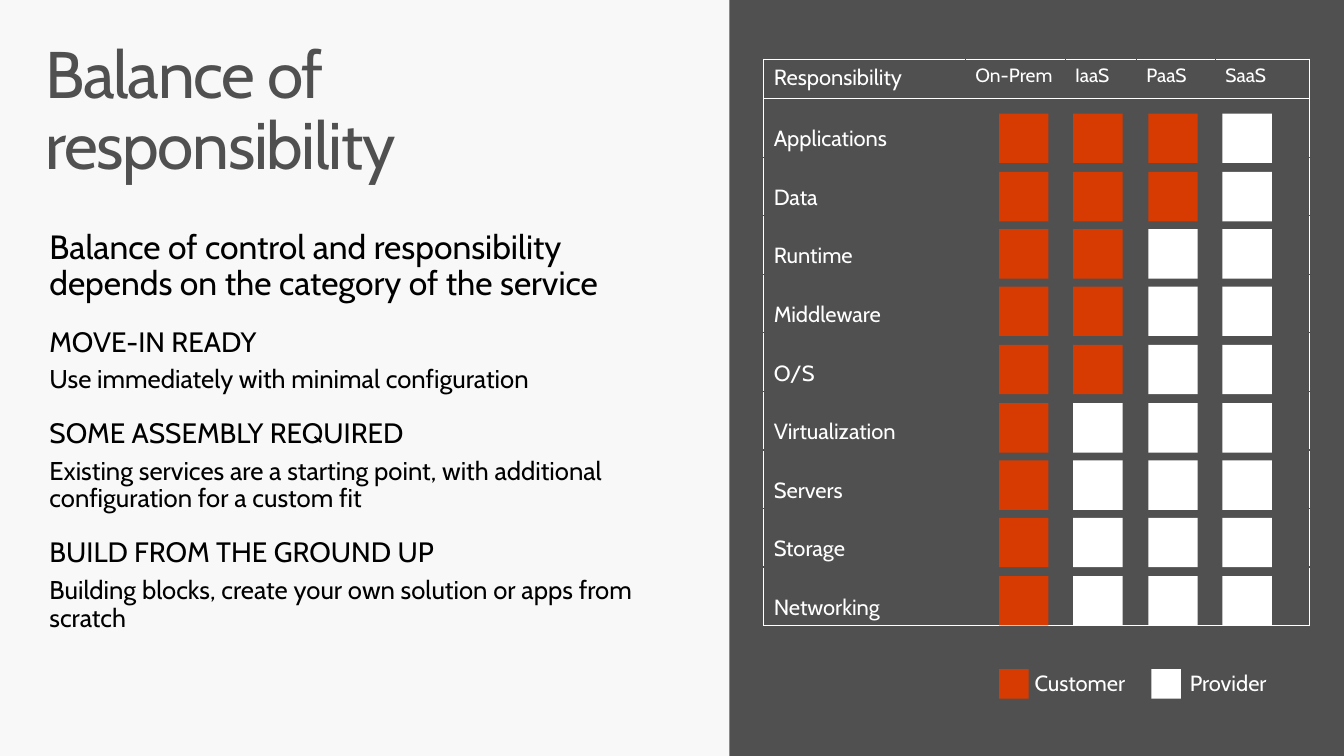
import pptx
import pptx.dml.color
import pptx.enum.shapes
import pptx.enum.text
import pptx.oxml
import pptx.oxml.ns
import pptx.util
from dataclasses import dataclass

ANCHOR = pptx.enum.text.MSO_ANCHOR
LEFT = pptx.enum.text.PP_ALIGN.LEFT
EMU_PER_PX = 9144  # 100 px to the inch


def px(length):
    return pptx.util.Emu(round(length * EMU_PER_PX))


@dataclass(frozen=True)
class Theme:
    font: str = "Cabin"
    paper: str = "F8F8F8"
    dark: str = "505050"
    black: str = "000000"
    white: str = "FFFFFF"
    customer: str = "D83B01"
    title_size: float = 48
    lead_size: float = 24.5
    heading_size: float = 20.4
    text_size: float = 18.7
    label_size: float = 16
    column_size: float = 14


class SlideBuilder:
    def __init__(self, slide, theme):
        self.slide = slide
        self.theme = theme
        slide.background.fill.solid()
        slide.background.fill.fore_color.rgb = self.color(theme.paper)

    def color(self, value):
        return pptx.dml.color.RGBColor.from_string(value)

    def apply(self, target, values):
        for name, value in values.items():
            setattr(target, name, value)

    def place(self, shape, box):
        self.apply(shape, dict(zip(("left", "top", "width", "height"), map(px, box))))

    def format_frame(self, frame, margin_x, margin_y):
        self.apply(frame, {
            "word_wrap": True, "auto_size": pptx.enum.text.MSO_AUTO_SIZE.NONE,
            "vertical_anchor": ANCHOR.TOP,
            "margin_left": px(margin_x), "margin_right": px(margin_x),
            "margin_top": px(margin_y), "margin_bottom": px(margin_y)})

    def format_paragraph(self, paragraph, size, color, before=0, after=0, spacing=0.9):
        self.apply(paragraph, {
            "alignment": LEFT, "line_spacing": spacing,
            "space_before": pptx.util.Pt(before), "space_after": pptx.util.Pt(after)})
        for run in paragraph.runs:
            self.apply(run.font, {
                "name": self.theme.font, "size": pptx.util.Pt(size), "bold": False})
            run.font.color.rgb = self.color(color)

    def title(self, text, box):
        shape = self.slide.shapes.title
        self.place(shape, box)
        self.format_frame(shape.text_frame, 16, 10)
        shape.text_frame.text = text
        paragraph = shape.text_frame.paragraphs[0]
        self.format_paragraph(paragraph, self.theme.title_size, self.theme.dark)
        for run in paragraph.runs:
            run.font._element.set("spc", "-100")

    def body(self, items, box):
        shape = self.slide.placeholders[1]
        self.place(shape, box)
        frame = shape.text_frame
        self.format_frame(frame, 20, 16)
        frame.text = "\n".join(text for text, size, before in items)
        for paragraph, (text, size, before) in zip(frame.paragraphs, items):
            properties = paragraph._p.get_or_add_pPr()
            properties.set("marL", "0")
            properties.set("indent", "0")
            properties.append(pptx.oxml.parse_xml(
                f'<a:buNone {pptx.oxml.ns.nsdecls("a")}/>'))
            self.format_paragraph(paragraph, size, self.theme.black, before, 6.1)

    def rectangle(self, box, color):
        shape = self.slide.shapes.add_shape(
            pptx.enum.shapes.MSO_SHAPE.RECTANGLE, *map(px, box))
        shape.shadow.inherit = False
        shape.fill.solid()
        shape.fill.fore_color.rgb = self.color(color)
        shape.line.fill.background()

    def label(self, text, box):
        shape = self.slide.shapes.add_textbox(*map(px, box))
        self.format_frame(shape.text_frame, 20, 16)
        shape.text_frame.text = text
        self.format_paragraph(
            shape.text_frame.paragraphs[0], self.theme.label_size, self.theme.white)

    def border(self, cell, side, color):
        cell._tc.get_or_add_tcPr().append(pptx.oxml.parse_xml(
            f'<a:ln{side} {pptx.oxml.ns.nsdecls("a")} w="12700"><a:solidFill>'
            f'<a:srgbClr val="{color}"/></a:solidFill></a:ln{side}>'))

    def table(self, columns, rows, box, widths, header_height):
        theme = self.theme
        last_row, last_column = len(rows), len(columns) - 1
        table = self.slide.shapes.add_table(
            last_row + 1, len(columns), *map(px, box)).table
        self.apply(table, {"first_row": False, "horz_banding": False})
        for column, width in zip(table.columns, widths):
            column.width = px(width)
        for index, row in enumerate(table.rows):
            row.height = px((box[3] - header_height) / last_row if index else header_height)
        for row in range(last_row + 1):
            for column in range(last_column + 1):
                cell = table.cell(row, column)
                white_sides = {"L": column == 0, "R": column == last_column,
                               "T": row <= 1, "B": row in (0, last_row)}
                for side, is_white in white_sides.items():
                    self.border(cell, side, theme.white if is_white else theme.dark)
                cell.fill.solid()
                cell.fill.fore_color.rgb = self.color(theme.dark)
                if row and column:
                    continue
                cell.text = rows[row - 1] if row else columns[column]
                cell.vertical_anchor = ANCHOR.BOTTOM if row else ANCHOR.TOP
                size = theme.column_size if column else theme.label_size
                self.format_paragraph(
                    cell.text_frame.paragraphs[0], size, theme.white, spacing=1.0)


def main():
    theme = Theme()
    presentation = pptx.Presentation()
    presentation.slide_width, presentation.slide_height = px(1360), px(765)
    builder = SlideBuilder(
        presentation.slides.add_slide(presentation.slide_layouts[1]), theme)

    # Title and service categories
    builder.title("Balance of\vresponsibility", (30, 32, 1300, 100))
    categories = [
        ("MOVE-IN READY", "Use immediately with minimal configuration"),
        ("SOME ASSEMBLY REQUIRED", "Existing services are a starting point, "
         "with additional configuration for a custom fit"),
        ("BUILD FROM THE GROUND UP",
         "Building blocks, create your own solution or apps from scratch"),
    ]
    items = [("Balance of control and responsibility depends on the category "
              "of the service", theme.lead_size, 0)]
    for heading, text in categories:
        items += [(heading, theme.heading_size, 12.2), (text, theme.text_size, 0)]
    builder.body(items, (30, 217, 646, 443))

    # Dark panel with the responsibility table
    builder.rectangle((738, 0, 622, 765), theme.dark)
    layers = ["Applications", "Data", "Runtime", "Middleware", "O/S",
              "Virtualization", "Servers", "Storage", "Networking"]
    customer_layers = {"On-Prem": 9, "IaaS": 5, "PaaS": 2, "SaaS": 0}
    builder.table(["Responsibility", *customer_layers], layers,
                  (773, 60, 552, 573), (204, 101, 72, 80, 95), 40)

    # Squares: customer layers on top, provider layers below
    square, first_left, first_top = 50, 1011, 115
    column_step, row_step = 75.3, 58.5
    for column, customer_count in enumerate(customer_layers.values()):
        for row in range(len(layers)):
            color = theme.customer if row < customer_count else theme.white
            builder.rectangle((round(first_left + column * column_step),
                               round(first_top + row * row_step), square, square), color)

    # Legend
    for name, color, left, label_left in (
            ("Customer", theme.customer, 1011, 1027),
            ("Provider", theme.white, 1165, 1184)):
        builder.rectangle((left, 677, 30, 30), color)
        builder.label(name, (label_left, 665, 136, 57))

    presentation.save("out.pptx")


if __name__ == "__main__":
    main()
